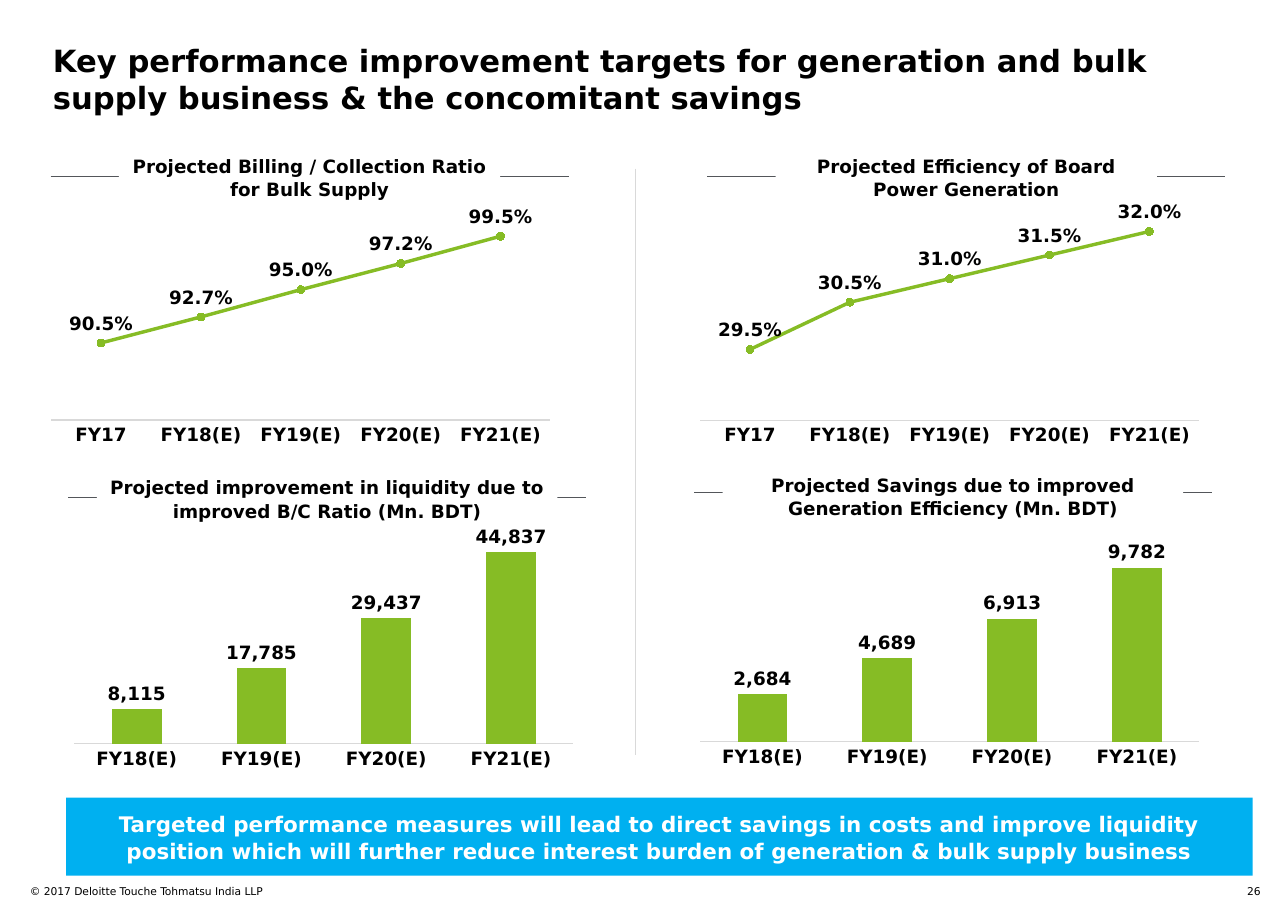
from lxml.etree import SubElement
from pptx import Presentation
from pptx.chart.data import CategoryChartData
from pptx.dml.color import RGBColor
from pptx.enum.chart import XL_CHART_TYPE as ChartType
from pptx.enum.chart import XL_LABEL_POSITION as LabelPosition
from pptx.enum.chart import XL_MARKER_STYLE as MarkerStyle
from pptx.enum.chart import XL_TICK_MARK as TickMark
from pptx.enum.shapes import MSO_CONNECTOR as Connector
from pptx.enum.shapes import MSO_SHAPE as Shape
from pptx.enum.text import MSO_ANCHOR as Anchor
from pptx.enum.text import MSO_AUTO_SIZE as AutoSize
from pptx.enum.text import PP_ALIGN as Align
from pptx.oxml.ns import qn
from pptx.util import Inches, Pt

BLACK = RGBColor(0x00, 0x00, 0x00)
WHITE = RGBColor(0xFF, 0xFF, 0xFF)
GREEN = RGBColor(0x86, 0xBC, 0x25)
BLUE = RGBColor(0x00, 0xB0, 0xF0)
DARK_GREY = RGBColor(0x53, 0x56, 0x5A)
LIGHT_GREY = RGBColor(0xD9, 0xD9, 0xD9)

FONT = "DejaVu Sans"
WIDTH, HEIGHT = Inches(11.69), Inches(8.27)
COLUMN, ROW = WIDTH / 100, HEIGHT / 100
RULE_WIDTH, HEADING_HEIGHT = 40.21, 5.68
CHART_WIDTH, CHART_HEIGHT = 40.38, 27.57
PLOT_SHARES = {"x": 0.02, "y": 0.02, "w": 0.96, "h": 0.85}

YEARS = ["FY17", "FY18(E)", "FY19(E)", "FY20(E)", "FY21(E)"]
RATIO = {
    "kind": ChartType.LINE_MARKERS,
    "years": YEARS,
    "label_format": "0.0%",
    "label_position": LabelPosition.ABOVE,
}
AMOUNT = {
    "kind": ChartType.COLUMN_CLUSTERED,
    "years": YEARS[1:],
    "label_format": "#,##0",
    "label_position": LabelPosition.OUTSIDE_END,
}
PANELS = [
    {"corner": (3.93, 16.57), "heading_width": 29.6, "rule_drop": 2.78,
     "chart_shift": (-0.76, 5.56), "style": RATIO,
     "heading": "Projected Billing / Collection Ratio for Bulk Supply",
     "values": [0.905, 0.927, 0.95, 0.972, 0.995], "scale": (0.84, 1.02)},
    {"corner": (54.92, 16.57), "heading_width": 29.6, "rule_drop": 2.78,
     "chart_shift": (-1.37, 5.56), "style": RATIO,
     "heading": "Projected Efficiency of Board Power Generation",
     "values": [0.295, 0.305, 0.31, 0.315, 0.32], "scale": (0.28, 0.325)},
    {"corner": (5.3, 51.87), "heading_width": 35.76, "rule_drop": 2.78,
     "chart_shift": (-0.34, 5.81), "style": AMOUNT,
     "heading": "Projected improvement in liquidity due to improved B/C Ratio (Mn. BDT)",
     "values": [8115, 17785, 29437, 44837], "scale": (0, 50000)},
    {"corner": (53.89, 51.63), "heading_width": 35.76, "rule_drop": 2.42,
     "chart_shift": (-0.34, 5.81), "style": AMOUNT,
     "heading": "Projected Savings due to improved Generation Efficiency (Mn. BDT)",
     "values": [2684, 4689, 6913, 9782], "scale": (0, 12000)},
]


def place(left, top, width, height):
    return [round(left * COLUMN), round(top * ROW), round(width * COLUMN), round(height * ROW)]


def set_all(target, values):
    for name, value in values.items():
        setattr(target, name, value)


def set_font(font, size, color=BLACK, bold=True):
    set_all(font, {"name": FONT, "size": Pt(size), "bold": bold})
    font.color.rgb = color


def write(shape, text, size, color=BLACK, bold=True, align=Align.LEFT,
          anchor=Anchor.TOP, margin=0, spacing=1.0):
    frame = shape.text_frame
    set_all(frame, {"word_wrap": True, "auto_size": AutoSize.NONE, "vertical_anchor": anchor})
    for side in ("left", "top", "right", "bottom"):
        setattr(frame, f"margin_{side}", Inches(margin))
    para = frame.paragraphs[0]
    set_all(para, {"alignment": align, "line_spacing": spacing})
    span = para.add_run()
    span.text = text
    set_font(span.font, size, color, bold)


def add_line(page, start, end, color):
    left, top, right, bottom = place(*start, *end)
    line = page.shapes.add_connector(Connector.STRAIGHT, left, top, right, bottom)
    line.line.color.rgb = color
    line.line.width = Pt(0.75)
    SubElement(line.element.spPr, qn("a:effectLst"))


def add_block(page, box, text, size, fill, color):
    block = page.shapes.add_shape(Shape.RECTANGLE, *place(*box))
    block.shadow.inherit = False
    block.fill.solid()
    block.fill.fore_color.rgb = fill
    block.line.fill.background()
    write(block, text, size, color, align=Align.CENTER, anchor=Anchor.MIDDLE,
          margin=0.1, spacing=1.06)


def fix_plot_area(chart):
    plot_area = chart.element.find(".//" + qn("c:plotArea"))
    for old in plot_area.findall(qn("c:layout")):
        plot_area.remove(old)
    layout = SubElement(plot_area, qn("c:layout"))
    plot_area.insert(0, layout)
    manual = SubElement(layout, qn("c:manualLayout"))
    settings = {"layoutTarget": "inner", "xMode": "edge", "yMode": "edge", **PLOT_SHARES}
    for name, value in settings.items():
        SubElement(manual, qn(f"c:{name}")).set("val", str(value))


def format_series(series, kind):
    if kind == ChartType.LINE_MARKERS:
        series.smooth = False
        series.format.line.color.rgb = GREEN
        series.format.line.width = Pt(2.25)
        set_all(series.marker, {"style": MarkerStyle.CIRCLE, "size": 5})
        painted = series.marker.format
        painted.line.color.rgb = GREEN
    else:
        painted = series.format
    painted.fill.solid()
    painted.fill.fore_color.rgb = GREEN


def add_trend_chart(page, box, style, values, scale):
    data = CategoryChartData()
    data.categories = style["years"]
    data.add_series("Series 1", values)
    chart = page.shapes.add_chart(style["kind"], *place(*box), data).chart
    set_all(chart, {"has_legend": False, "has_title": False})
    set_font(chart.font, 10)
    fix_plot_area(chart)

    low, high = scale
    set_all(chart.value_axis, {"visible": False, "has_major_gridlines": False,
                               "minimum_scale": low, "maximum_scale": high})
    years_axis = chart.category_axis
    set_all(years_axis, {"major_tick_mark": TickMark.NONE, "minor_tick_mark": TickMark.NONE,
                         "has_major_gridlines": False})
    set_font(years_axis.tick_labels.font, 12)
    years_axis.format.line.color.rgb = LIGHT_GREY
    years_axis.format.line.width = Pt(0.75)

    plot = chart.plots[0]
    plot.vary_by_categories = False
    if style["kind"] == ChartType.COLUMN_CLUSTERED:
        plot.gap_width = 150
    format_series(plot.series[0], style["kind"])
    plot.has_data_labels = True
    set_all(plot.data_labels, {"show_value": True, "number_format": style["label_format"],
                               "number_format_is_linked": False,
                               "position": style["label_position"]})
    set_font(plot.data_labels.font, 12)


def add_panel(page, corner, heading, heading_width, rule_drop, chart_shift, style, values, scale):
    left, top = corner
    rule_top = top + rule_drop
    add_line(page, (left, rule_top), (left + RULE_WIDTH, rule_top), DARK_GREY)
    heading_left = left + (RULE_WIDTH - heading_width) / 2
    add_block(page, (heading_left, top, heading_width, HEADING_HEIGHT), heading, 12, WHITE, BLACK)
    shift_right, shift_down = chart_shift
    chart_box = (left + shift_right, top + shift_down, CHART_WIDTH, CHART_HEIGHT)
    add_trend_chart(page, chart_box, style, values, scale)


def add_title(page, box, text):
    title = page.shapes.title
    set_all(title, dict(zip(("left", "top", "width", "height"), place(*box))))
    write(title, text, 20)


def add_footer(page, box, text, align):
    write(page.shapes.add_textbox(*place(*box)), text, 7, bold=False, align=align)


def build_targets_page(deck):
    page = deck.slides.add_slide(deck.slide_layouts[5])
    add_title(page, (4.11, 4.59, 91.79, 7.26),
              "Key performance improvement targets for generation and bulk supply "
              "business & the concomitant savings")
    add_line(page, (49.36, 18.5), (49.36, 82.83), LIGHT_GREY)
    for panel in PANELS:
        add_panel(page, **panel)
    add_block(page, (5.13, 87.55, 92.13, 8.59),
              "Targeted performance measures will lead to direct savings in costs and improve "
              "liquidity position which will further reduce interest burden of generation & "
              "bulk supply business", 14, BLUE, WHITE)
    add_footer(page, (2.31, 97.1, 43.88, 2.9), "© 2017 Deloitte Touche Tohmatsu India LLP", Align.LEFT)
    add_footer(page, (95.3, 97.1, 2.57, 1.45), "26", Align.RIGHT)


def main():
    deck = Presentation()
    set_all(deck, {"slide_width": WIDTH, "slide_height": HEIGHT})
    build_targets_page(deck)
    deck.save("out.pptx")


if __name__ == "__main__":
    main()
